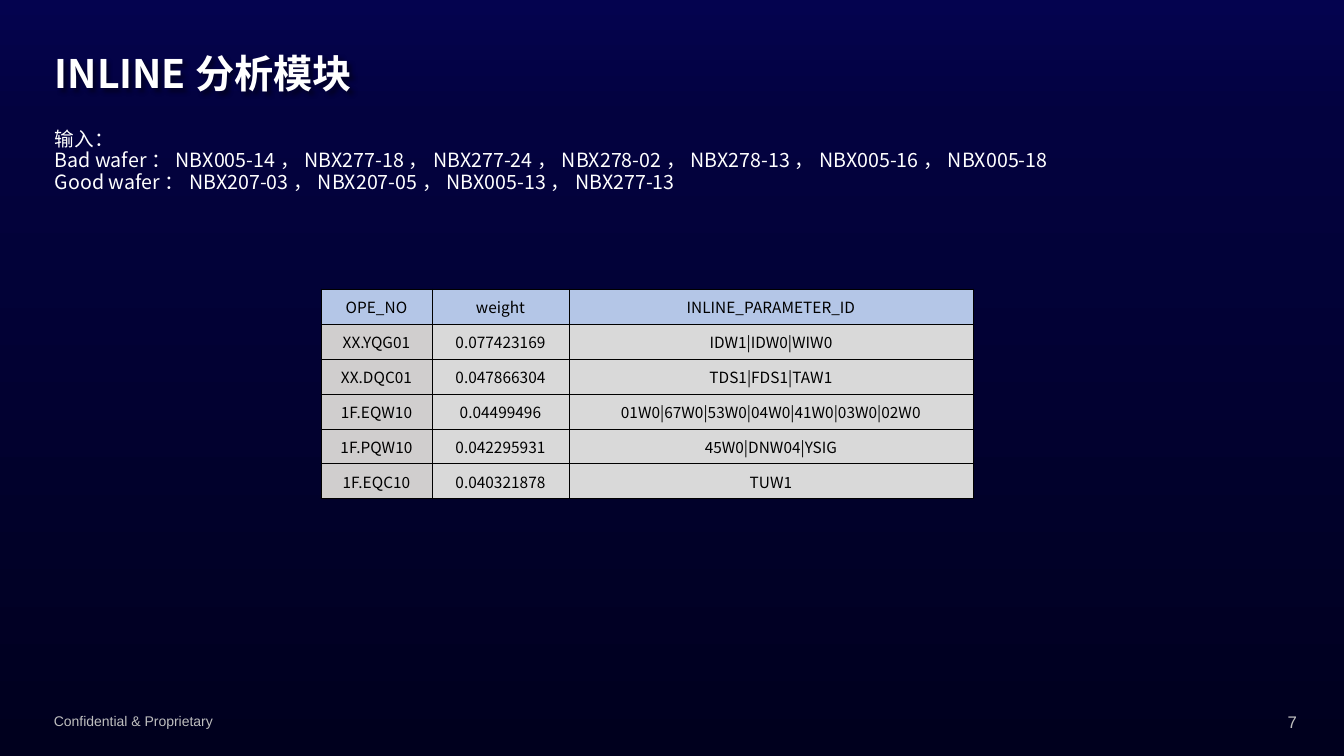
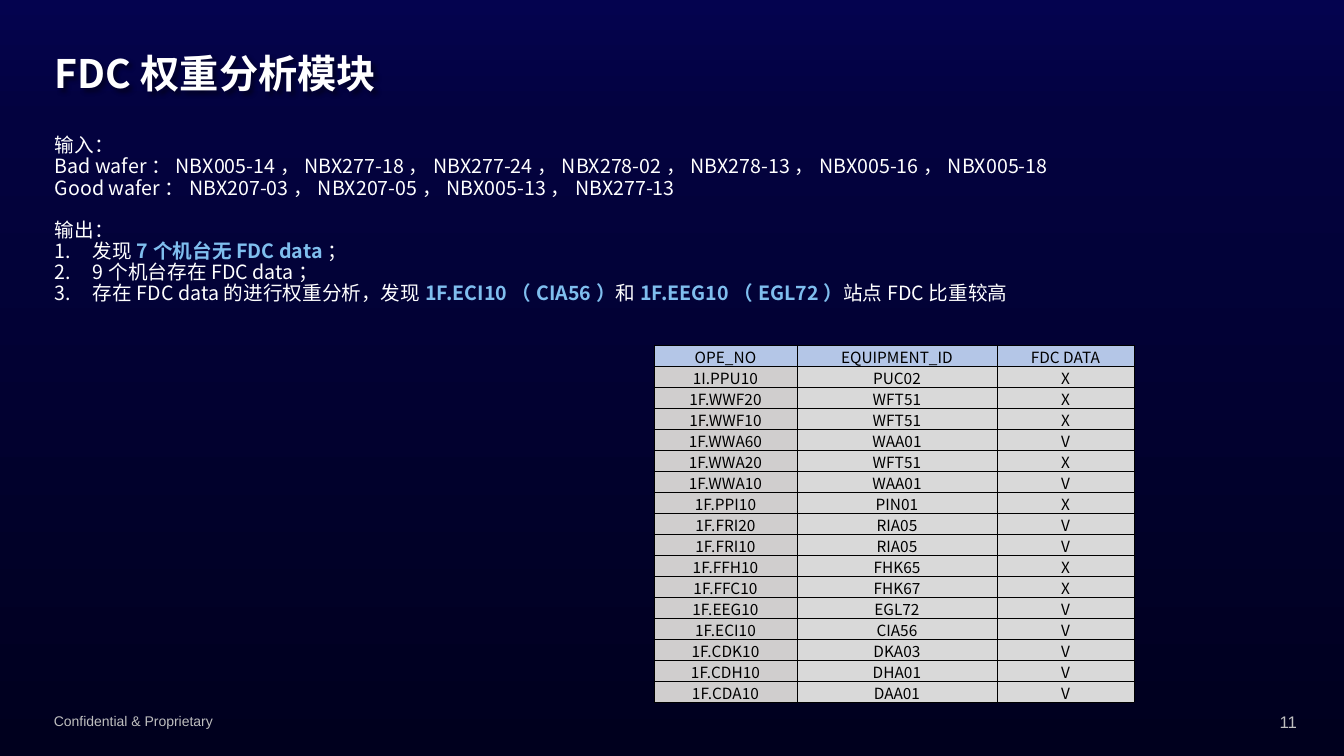
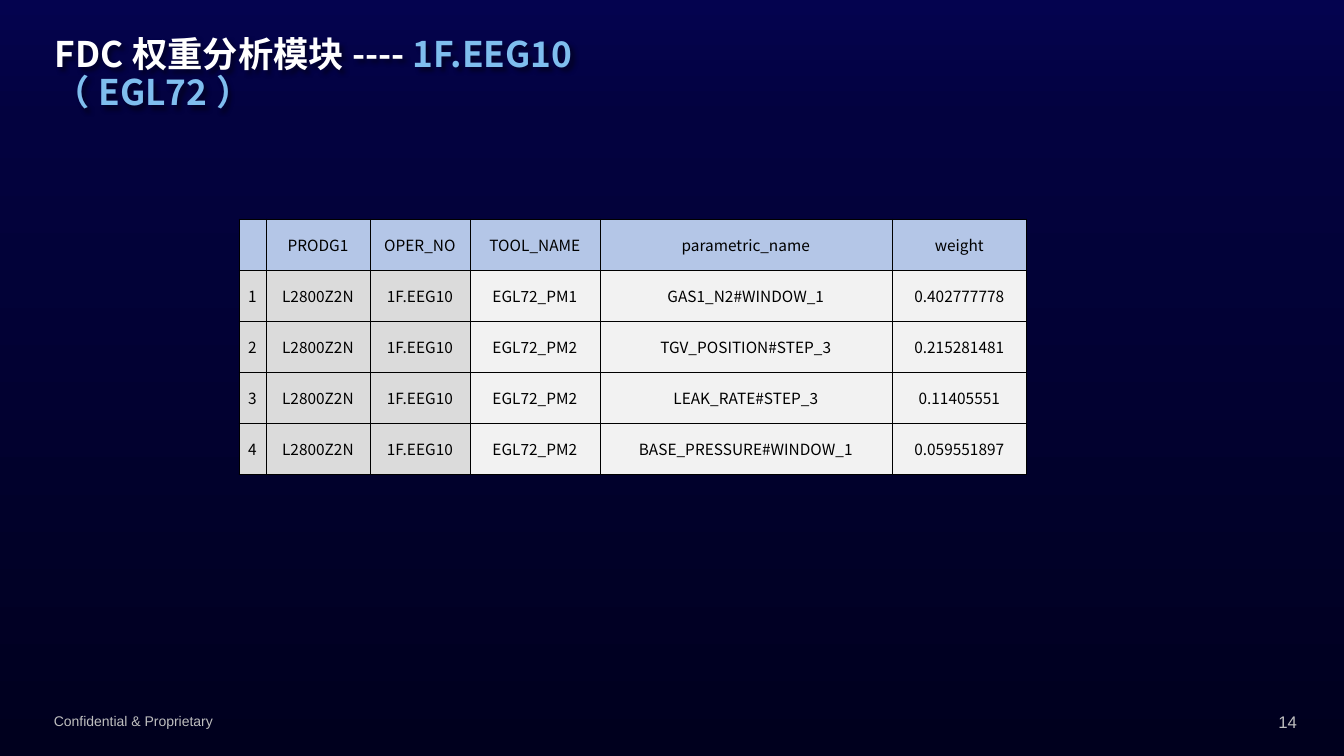
import lxml.etree
import pptx
import pptx.dml.color
import pptx.enum.text
import pptx.oxml.ns
import pptx.util

RGB = pptx.dml.color.RGBColor
ALIGN = pptx.enum.text.PP_ALIGN
ANCHOR = pptx.enum.text.MSO_ANCHOR
qn = pptx.oxml.ns.qn

# Shared look
WHITE = RGB(0xFF, 0xFF, 0xFF)
BLACK = RGB(0x00, 0x00, 0x00)
SKY = RGB(0x7F, 0xBE, 0xEE)
FOOTER_GREY = RGB(0xBF, 0xBF, 0xBF)
HEADER_BLUE = RGB(0xB4, 0xC6, 0xE7)
KEY_GREY = RGB(0xD0, 0xCE, 0xCE)
VALUE_GREY = RGB(0xD9, 0xD9, 0xD9)
KEY_PALE = RGB(0xDB, 0xDB, 0xDB)
VALUE_PALE = RGB(0xF2, 0xF2, 0xF2)
BACKDROP = [(0, RGB(0x04, 0x03, 0x4F)), (16, RGB(0x03, 0x02, 0x3F)),
            (100, RGB(0x00, 0x00, 0x1E))]
CJK = "Noto Sans CJK SC"
SANS = "Arial"
EMU_PER_PX = 914400 / 100.8
LINE_SPACING = 0.9

# Content: a run is (text, highlighted)
FOOTER = "Confidential & Proprietary"
WAFER_INPUT = [
    [("输入：", False)],
    [("Bad wafer：NBX005-14，NBX277-18，NBX277-24，NBX278-02，NBX278-13，"
      "NBX005-16，NBX005-18", False)],
    [("Good wafer：NBX207-03，NBX207-05，NBX005-13，NBX277-13", False)],
]
FDC_OUTPUT = [("输出：", False)]
FDC_FINDINGS = [
    [("发现", False), ("7个机台无FDC data", True), ("；", False)],
    [("9个机台存在FDC data；", False)],
    [("存在FDC data的进行权重分析，发现", False), ("1F.ECI10（CIA56）", True),
     ("和", False), ("1F.EEG10（EGL72）", True), ("站点FDC比重较高", False)],
]
INLINE_WEIGHTS = [
    ("OPE_NO", "weight", "INLINE_PARAMETER_ID"),
    ("XX.YQG01", "0.077423169", "IDW1|IDW0|WIW0"),
    ("XX.DQC01", "0.047866304", "TDS1|FDS1|TAW1"),
    ("1F.EQW10", "0.04499496", "01W0|67W0|53W0|04W0|41W0|03W0|02W0"),
    ("1F.PQW10", "0.042295931", "45W0|DNW04|YSIG"),
    ("1F.EQC10", "0.040321878", "TUW1"),
]
FDC_EQUIPMENT = [
    ("OPE_NO", "EQUIPMENT_ID", "FDC DATA"),
    ("1I.PPU10", "PUC02", "X"),
    ("1F.WWF20", "WFT51", "X"),
    ("1F.WWF10", "WFT51", "X"),
    ("1F.WWA60", "WAA01", "V"),
    ("1F.WWA20", "WFT51", "X"),
    ("1F.WWA10", "WAA01", "V"),
    ("1F.PPI10", "PIN01", "X"),
    ("1F.FRI20", "RIA05", "V"),
    ("1F.FRI10", "RIA05", "V"),
    ("1F.FFH10", "FHK65", "X"),
    ("1F.FFC10", "FHK67", "X"),
    ("1F.EEG10", "EGL72", "V"),
    ("1F.ECI10", "CIA56", "V"),
    ("1F.CDK10", "DKA03", "V"),
    ("1F.CDH10", "DHA01", "V"),
    ("1F.CDA10", "DAA01", "V"),
]
TOOL_WEIGHTS = [
    ("", "PRODG1", "OPER_NO", "TOOL_NAME", "parametric_name", "weight"),
    ("1", "L2800Z2N", "1F.EEG10", "EGL72_PM1", "GAS1_N2#WINDOW_1", "0.402777778"),
    ("2", "L2800Z2N", "1F.EEG10", "EGL72_PM2", "TGV_POSITION#STEP_3", "0.215281481"),
    ("3", "L2800Z2N", "1F.EEG10", "EGL72_PM2", "LEAK_RATE#STEP_3", "0.11405551"),
    ("4", "L2800Z2N", "1F.EEG10", "EGL72_PM2", "BASE_PRESSURE#WINDOW_1", "0.059551897"),
]


def px(length):
    return pptx.util.Emu(round(length * EMU_PER_PX))


def add_run(paragraph, text, size, color, font=CJK, bold=False):
    run = paragraph.add_run()
    run.text = text
    run.font.size = pptx.util.Pt(size)
    run.font.name = font
    run.font.bold = bold
    run.font.color.rgb = color
    east_asian = lxml.etree.Element(qn("a:ea"), typeface=font)
    run.font._element.find(qn("a:latin")).addnext(east_asian)


def add_frame(slide, box, anchor=ANCHOR.MIDDLE):
    holder = slide.shapes.add_textbox(*map(px, box))
    holder.text_frame.word_wrap = True
    holder.text_frame.vertical_anchor = anchor
    return holder


def add_shadow(holder):
    effects = lxml.etree.SubElement(holder._element.spPr, qn("a:effectLst"))
    shadow = lxml.etree.SubElement(effects, qn("a:outerShdw"), blurRad="38100",
                                   dist="38100", dir="2700000", algn="tl")
    black = lxml.etree.SubElement(shadow, qn("a:srgbClr"), val=str(BLACK))
    lxml.etree.SubElement(black, qn("a:alpha"), val="43000")


def paint_backdrop(master):
    fill = master.background.fill
    fill.gradient()
    fill.gradient_angle = 270
    stops = master._element.find(".//" + qn("p:bg")).find(".//" + qn("a:gsLst"))
    for old_stop in list(stops):
        stops.remove(old_stop)
    for percent, color in BACKDROP:
        stop = lxml.etree.SubElement(stops, qn("a:gs"), pos=str(percent * 1000))
        lxml.etree.SubElement(stop, qn("a:srgbClr"), val=str(color))


def start_slide(deck, number, title, title_width=455, title_size=28):
    slide = deck.slides.add_slide(deck.slide_layouts[6])
    for text, box, size, align in (
            (FOOTER, (44, 708, 454, 27), 10, ALIGN.LEFT),
            (str(number), (1257, 707, 50, 30), 12, ALIGN.RIGHT)):
        line = add_frame(slide, box, ANCHOR.TOP).text_frame.paragraphs[0]
        line.alignment = align
        add_run(line, text, size, FOOTER_GREY, SANS)
    heading = add_frame(slide, (45, 46, title_width, 59))
    add_shadow(heading)
    line = heading.text_frame.paragraphs[0]
    line.line_spacing = LINE_SPACING
    for text, highlighted in title:
        add_run(line, text, title_size, SKY if highlighted else WHITE, bold=True)
    return slide


def add_body(slide, box, lines, gap_before=None, numbered=()):
    frame = add_frame(slide, box).text_frame
    for index, runs in enumerate(lines + list(numbered)):
        line = frame.add_paragraph() if index else frame.paragraphs[0]
        line.line_spacing = LINE_SPACING
        if index == gap_before:
            line.space_before = pptx.util.Pt(15)
        if index >= len(lines):
            properties = line._p.get_or_add_pPr()
            properties.set("marL", str(px(38)))
            properties.set("indent", str(-px(38)))
            lxml.etree.SubElement(properties, qn("a:buAutoNum"), type="arabicPeriod")
        for text, highlighted in runs:
            add_run(line, text, 14, SKY if highlighted else WHITE, bold=highlighted)


def add_borders(cell):
    properties = cell._tc.get_or_add_tcPr()
    for side in ("a:lnL", "a:lnR", "a:lnT", "a:lnB"):
        edge = lxml.etree.SubElement(properties, qn(side), w=str(pptx.util.Pt(0.5)))
        ink = lxml.etree.SubElement(edge, qn("a:solidFill"))
        lxml.etree.SubElement(ink, qn("a:srgbClr"), val=str(BLACK))


def add_grid(slide, left, top, widths, row_height, rows, key_columns, key_fill, value_fill):
    grid = slide.shapes.add_table(
        len(rows), len(widths), px(left), px(top),
        px(sum(widths)), px(row_height * len(rows))).table
    grid.first_row = grid.horz_banding = False
    for column, width in zip(grid.columns, widths):
        column.width = px(width)
    for r, values in enumerate(rows):
        grid.rows[r].height = px(row_height)
        for c, value in enumerate(values):
            cell = grid.cell(r, c)
            add_borders(cell)
            cell.fill.solid()
            body_fill = key_fill if c < key_columns else value_fill
            cell.fill.fore_color.rgb = body_fill if r else HEADER_BLUE
            cell.margin_left = cell.margin_right = cell.margin_top = px(1)
            cell.margin_bottom = 0
            cell.vertical_anchor = ANCHOR.MIDDLE
            line = cell.text_frame.paragraphs[0]
            line.alignment = ALIGN.CENTER
            if value:
                add_run(line, value, 11, BLACK)


def main():
    deck = pptx.Presentation()
    deck.slide_width, deck.slide_height = px(1344), px(756)
    paint_backdrop(deck.slide_master)

    # Inline analysis
    inline = start_slide(deck, 7, [("INLINE分析模块", False)])
    add_body(inline, (45, 115, 1145, 93), WAFER_INPUT)
    add_grid(inline, 321, 289, (111, 137, 404), 35, INLINE_WEIGHTS,
             1, KEY_GREY, VALUE_GREY)

    # FDC weight analysis
    fdc = start_slide(deck, 11, [("FDC权重分析模块", False)])
    add_body(fdc, (45, 106, 1145, 229), WAFER_INPUT + [FDC_OUTPUT],
             gap_before=len(WAFER_INPUT), numbered=FDC_FINDINGS)
    add_grid(fdc, 654, 345, (143, 200, 137), 21, FDC_EQUIPMENT,
             1, KEY_GREY, VALUE_GREY)

    # FDC weights of one tool
    tool = start_slide(deck, 14, [("FDC权重分析模块----", False),
                                  (" 1F.EEG10（EGL72）", True)], 714, 25.2)
    add_grid(tool, 239, 219, (27, 104, 100, 130, 292, 135), 51, TOOL_WEIGHTS,
             3, KEY_PALE, VALUE_PALE)

    deck.save("out.pptx")


if __name__ == "__main__":
    main()
